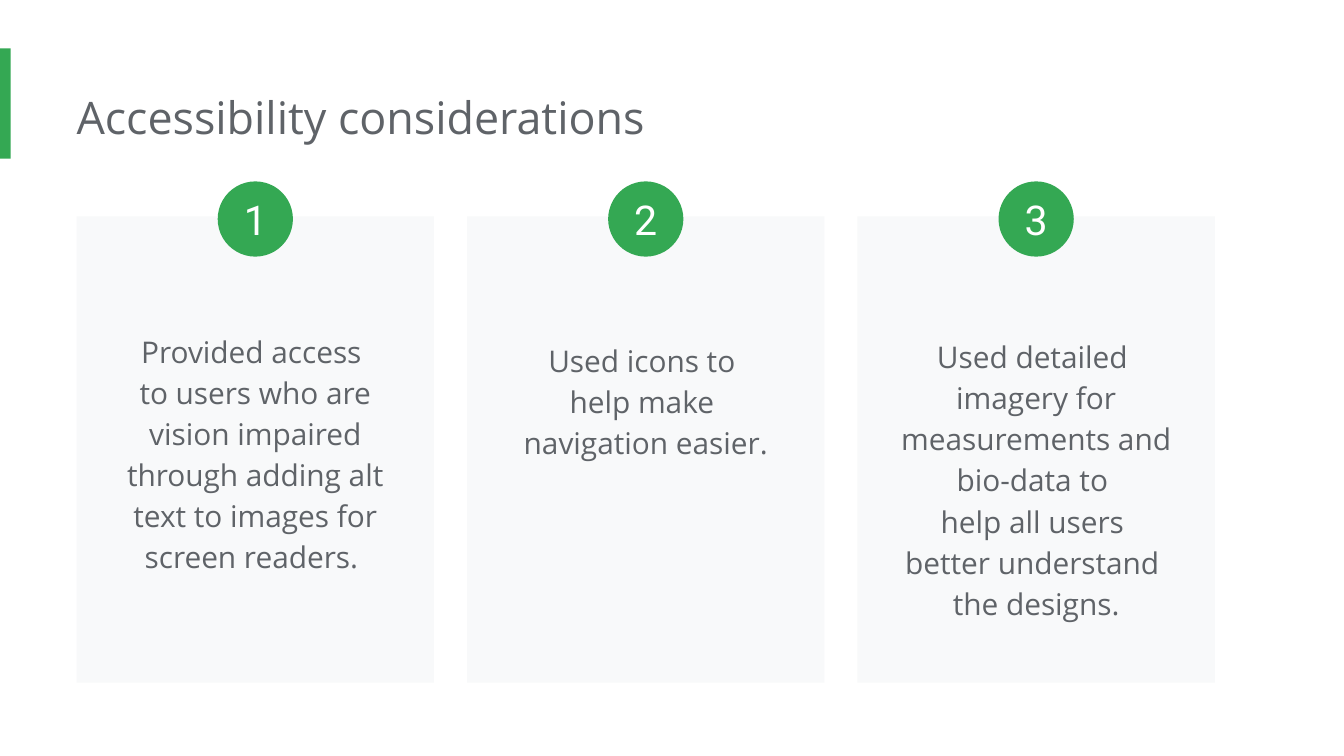
from pptx import Presentation
from pptx.dml.color import RGBColor
from pptx.enum.shapes import MSO_SHAPE
from pptx.enum.text import MSO_ANCHOR, MSO_AUTO_SIZE, PP_ALIGN
from pptx.util import Inches, Pt

GREEN = "34A853"
GRAY = "5F6368"
PANEL = "F8F9FA"
WHITE = "FFFFFF"

CARDS = [
    (0.73, 2.05, [
        "Provided access ",
        "to users who are vision impaired through adding alt text to images for screen readers. ",
    ]),
    (0.8, 1.13, ["Used icons to ", "help make ", "navigation easier."]),
    (0.77, 2.36, [
        "Used detailed ",
        "imagery for measurements and bio-data to ",
        "help all users ",
        "better understand ",
        "the designs.",
    ]),
]


def color(value):
    return RGBColor.from_string(value)


def add_block(page, kind, left, top, width, height, fill):
    block = page.shapes.add_shape(
        kind, Inches(left), Inches(top), Inches(width), Inches(height))
    block.shadow.inherit = False
    block.fill.solid()
    block.fill.fore_color.rgb = color(fill)
    block.line.fill.background()
    return block


def write(frame, lines, size, font, ink, align, spacing=None):
    frame.word_wrap = True
    frame.text = "\n".join(lines)
    for para in frame.paragraphs:
        para.alignment = align
        para.line_spacing = spacing
        for span in para.runs:
            span.font.size = Pt(size)
            span.font.name = font
            span.font.color.rgb = color(ink)


def set_margins(frame, left, others):
    frame.margin_left = Inches(left)
    frame.margin_top = frame.margin_right = frame.margin_bottom = Inches(others)


def add_text_box(page, left, top, width, height, inset_left=0.1):
    box = page.shapes.add_textbox(
        Inches(left), Inches(top), Inches(width), Inches(height))
    frame = box.text_frame
    set_margins(frame, inset_left, 0.1)
    frame.auto_size = MSO_AUTO_SIZE.SHAPE_TO_FIT_TEXT
    return frame


def add_header(page, left, top, width, height):
    add_block(page, MSO_SHAPE.RECTANGLE, 0, top - 0.21, 0.08, 0.82, GREEN)
    title = add_text_box(page, left, top, width, height, inset_left=0)
    write(title, ["Accessibility considerations"], 24, "Open Sans", GRAY, PP_ALIGN.LEFT)


def add_card(page, left, top, width, height, number, text_drop, text_height, lines):
    add_block(page, MSO_SHAPE.RECTANGLE, left, top, width, height, PANEL)
    body = add_text_box(page, left + 0.21, top + text_drop, width - 0.42, text_height)
    write(body, lines, 16, "Open Sans", GRAY, PP_ALIGN.CENTER, 1.15)

    diameter = 0.56
    badge = add_block(page, MSO_SHAPE.OVAL, left + (width - diameter) / 2,
                      top - 0.26, diameter, diameter, GREEN)
    frame = badge.text_frame
    set_margins(frame, 0, 0)
    frame.vertical_anchor = MSO_ANCHOR.MIDDLE
    write(frame, [str(number)], 22, "Roboto", WHITE, PP_ALIGN.CENTER)


def add_cards(page, left, top, width, height):
    card_width = 2.66
    step = (width - card_width) / (len(CARDS) - 1)
    for index, (text_drop, text_height, lines) in enumerate(CARDS):
        add_card(page, left + index * step, top, card_width, height,
                 index + 1, text_drop, text_height, lines)


def main():
    deck = Presentation()
    deck.slide_width = Inches(10)
    deck.slide_height = Inches(10 * 9 / 16)
    page = deck.slides.add_slide(deck.slide_layouts[6])
    add_header(page, 0.57, 0.57, 7.66, 0.61)
    add_cards(page, 0.57, 1.61, 8.47, 3.47)
    deck.save("out.pptx")


if __name__ == "__main__":
    main()
